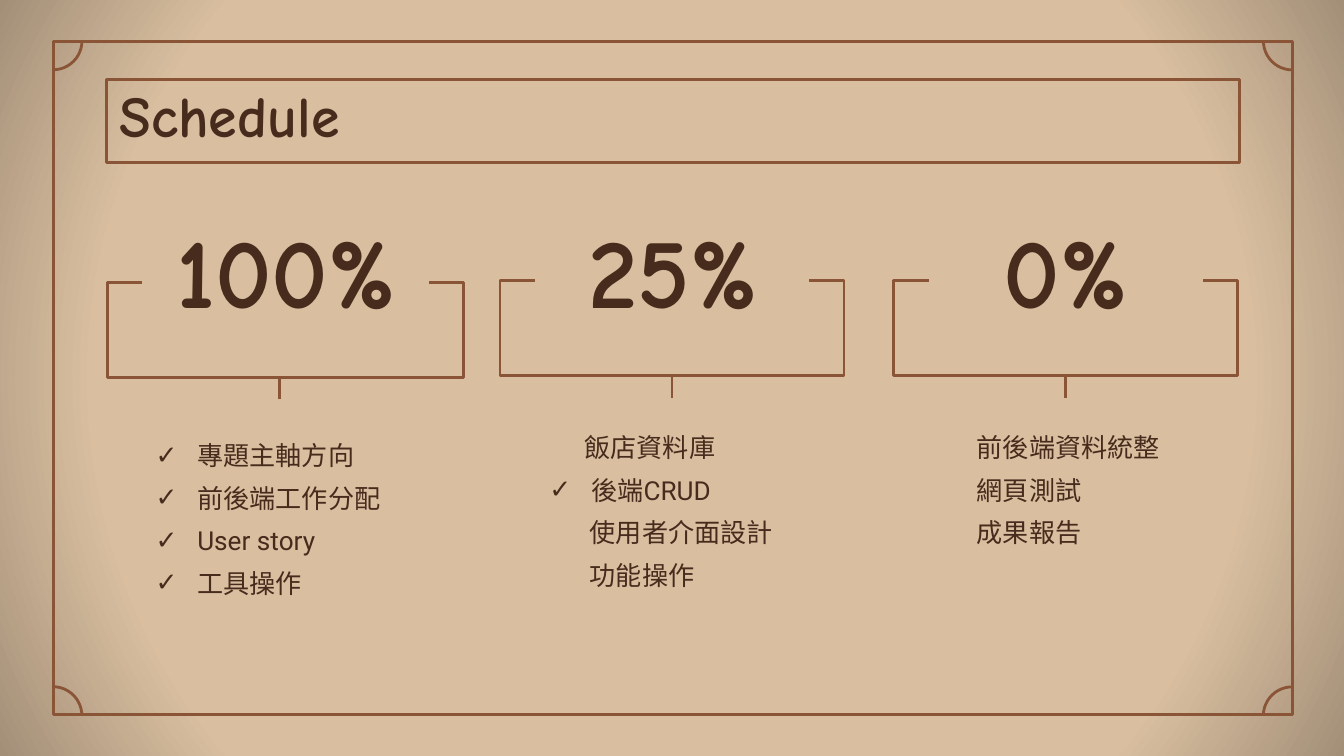
from pptx import Presentation
from pptx.dml.color import RGBColor
from pptx.enum.shapes import MSO_CONNECTOR as CONN, MSO_SHAPE as SHAPE
from pptx.enum.text import MSO_ANCHOR as ANCHOR, MSO_AUTO_SIZE as AUTO, PP_ALIGN as ALIGN
from pptx.oxml import parse_xml
from pptx.oxml.ns import nsdecls, qn
from pptx.util import Inches, Pt

COLORS = {"paper": "D9BFA0", "edge": "A38F78", "line": "8A5437", "text": "472C1D"}


def outline(sp):
    sp.line.color.rgb = RGBColor.from_string(COLORS["line"])
    sp.line.width = Pt(1.5)


def write(sp, lines, size, font, bold=False, align=ALIGN.LEFT,
          anchor=ANCHOR.TOP, spacing=1.0, gap=0):
    tf = sp.text_frame
    tf.word_wrap = True
    tf.auto_size = AUTO.NONE
    tf.vertical_anchor = anchor
    tf.margin_left = tf.margin_right = tf.margin_top = tf.margin_bottom = Inches(0.1)
    for i, (text, indent, checked) in enumerate(lines):
        p = tf.add_paragraph() if i else tf.paragraphs[0]
        p.alignment = align
        p.line_spacing = spacing
        p.space_before = Pt(gap if i else 0)
        pPr = p._p.get_or_add_pPr()
        pPr.set("marL", str(Inches(indent)))
        pPr.set("indent", str(-Inches(indent) if checked else 0))
        if checked:
            pPr.append(parse_xml(f'<a:buClr {nsdecls("a")}><a:srgbClr val="{COLORS["text"]}"/></a:buClr>'))
            pPr.append(parse_xml(f'<a:buFont {nsdecls("a")} typeface="{font}"/>'))
            pPr.append(parse_xml(f'<a:buChar {nsdecls("a")} char="✓"/>'))
        r = p.add_run()
        r.text = text
        r.font.size = Pt(size)
        r.font.name = font
        r.font.bold = bold
        r.font.color.rgb = RGBColor.from_string(COLORS["text"])


prs = Presentation()
prs.slide_width = Inches(10)
prs.slide_height = Inches(10) * 9 // 16
s = prs.slides.add_slide(prs.slide_layouts[5])

s.background.fill.gradient()
grad = s.element.find(".//" + qn("a:gradFill"))
stops = [(0, "paper"), (50, "paper"), (75, "paper"), (100, "edge")]
stop_xml = "".join(f'<a:gs pos="{pos * 1000}"><a:srgbClr val="{COLORS[name]}"/></a:gs>'
                   for pos, name in stops)
grad.getparent().replace(grad, parse_xml(
    f'<a:gradFill {nsdecls("a")}><a:gsLst>{stop_xml}</a:gsLst><a:path path="circle">'
    '<a:fillToRect l="50000" t="50000" r="50000" b="50000"/></a:path></a:gradFill>'))

frame = s.shapes.add_shape(SHAPE.RECTANGLE, Inches(0.4), Inches(0.31), Inches(9.22), Inches(5.01))
corners = [(0.18, 0.09, 90), (9.4, 0.09, 180), (0.18, 5.11, 0), (9.4, 5.11, 270)]
ornaments = [frame]
for x, y, angle in corners:
    arc = s.shapes.add_shape(SHAPE.ARC, Inches(x), Inches(y), Inches(0.43), Inches(0.43))
    arc.rotation = angle
    ornaments.append(arc)
for sp in ornaments:
    sp.fill.background()
    sp.shadow.inherit = False
    outline(sp)

title = s.shapes.title
title.left, title.top, title.width, title.height = Inches(0.79), Inches(0.59), Inches(8.43), Inches(0.62)
outline(title)
write(title, [("Schedule", 0, False)], 31, "Comic Neue", bold=True, anchor=ANCHOR.MIDDLE, spacing=0.8)

columns = [
    dict(x=1.06, width=2.14, mid=2.08, top=2.1, reach=1.11, list_top=3.17, list_height=1.87,
         percent="100%", items=[("專題主軸方向", 0.31, True), ("前後端工作分配", 0.31, True),
                                ("User story", 0.31, True), ("工具操作", 0.31, True)]),
    dict(x=3.99, width=2.04, mid=5, top=2.09, reach=1.02, list_top=3.11, list_height=1.39,
         percent="25%", items=[("飯店資料庫", 0.26, False), ("後端CRUD", 0.31, True),
                               ("使用者介面設計", 0.3, False), ("功能操作", 0.3, False)]),
    dict(x=6.91, width=2.04, mid=7.93, top=2.09, reach=1.02, list_top=3.11, list_height=1.39,
         percent="0%", items=[("前後端資料統整", 0.26, False), ("網頁測試", 0.26, False),
                              ("成果報告", 0.26, False)]),
]
drop = 0.87
hook = 0.26
for c in columns:
    for side, angle, reach in [(-1, 90, 1.02), (1, 270, c["reach"])]:
        left = c["mid"] + side * reach / 2 - drop / 2
        top = c["top"] + drop / 2 - reach / 2
        bracket = s.shapes.add_connector(CONN.ELBOW, Inches(left), Inches(top),
                                         Inches(left + drop), Inches(top + reach))
        spPr = bracket._element.spPr
        spPr.xfrm.set("rot", str(angle * 60000))
        if side < 0:
            spPr.xfrm.set("flipH", "1")
        geom = spPr.find(qn("a:prstGeom"))
        geom.getparent().replace(geom, parse_xml(
            f'<a:prstGeom {nsdecls("a")} prst="bentConnector4"><a:avLst>'
            '<a:gd name="adj1" fmla="val 18900"/>'
            f'<a:gd name="adj2" fmla="val {round((reach + hook) / reach * 100000)}"/>'
            '</a:avLst></a:prstGeom>'))
        spPr.append(parse_xml(f'<a:effectLst {nsdecls("a")}/>'))
        outline(bracket)

    percent = s.shapes.add_textbox(Inches(c["x"]), Inches(1.54), Inches(c["width"]), Inches(1.08))
    write(percent, [(c["percent"], 0, False)], 53, "Comic Neue", bold=True,
          align=ALIGN.CENTER, anchor=ANCHOR.MIDDLE, spacing=0.8)

    tasks = s.shapes.add_textbox(Inches(c["x"]), Inches(c["list_top"]), Inches(2.04), Inches(c["list_height"]))
    write(tasks, c["items"], 14, "Roboto", gap=6)

prs.save("out.pptx")
